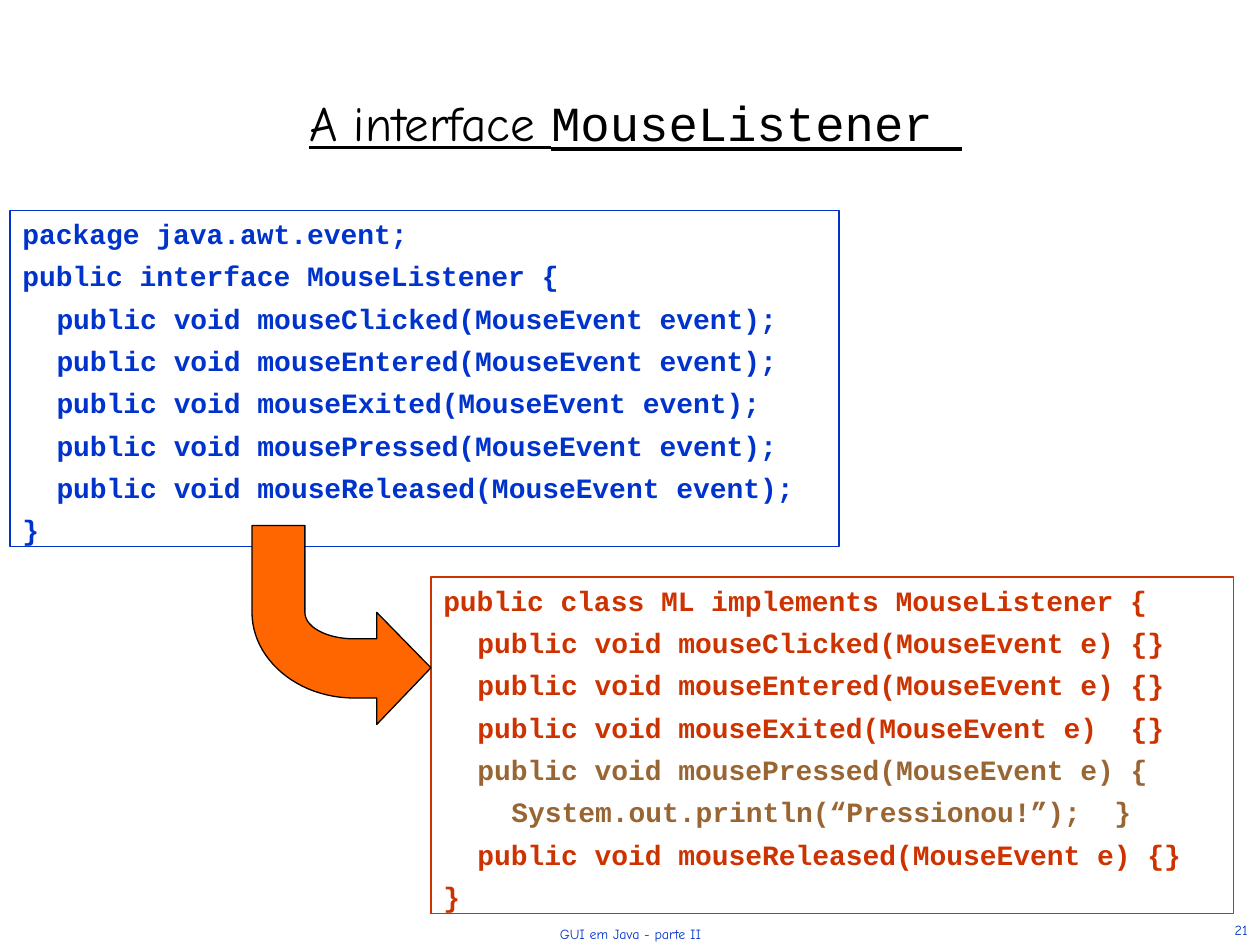
from dataclasses import dataclass

from lxml.etree import SubElement
from pptx import Presentation
from pptx.dml.color import RGBColor
from pptx.enum.shapes import MSO_SHAPE
from pptx.enum.text import MSO_ANCHOR, PP_ALIGN
from pptx.oxml.ns import qn
from pptx.util import Inches, Pt

COLORS = {
    "title": "000000",
    "interface": "0033CC",
    "class": "CC3300",
    "highlight": "996633",
    "arrow": "FF6600",
    "outline": "000000",
}
CODE_FONT = "Courier New"
TEXT_FONT = "Comic Neue"
INDENT_STEP = 0.27  # two characters of 16 pt code


@dataclass(frozen=True)
class Box:
    left: float
    top: float
    width: float
    height: float

    def lengths(self) -> list:
        return [Inches(v) for v in (self.left, self.top, self.width, self.height)]


@dataclass(frozen=True)
class CodeLine:
    text: str
    level: int = 0
    color: str = ""


@dataclass(frozen=True)
class CodePanel:
    box: Box
    color: str
    lines: list


@dataclass(frozen=True)
class Label:
    box: Box
    runs: list
    size: float
    color: str
    align: PP_ALIGN
    underline: bool = False


def rgb(name: str) -> RGBColor:
    return RGBColor.from_string(COLORS[name])


def add_run(paragraph, text: str, *, font: str, size: float, color: str,
            bold: bool = False, underline: bool = False) -> None:
    run = paragraph.add_run()
    run.text = text
    run.font.name = font
    run.font.size = Pt(size)
    run.font.bold = bold
    run.font.underline = underline
    run.font.color.rgb = rgb(color)


def add_label(slide, label: Label) -> None:
    frame = slide.shapes.add_textbox(*label.box.lengths()).text_frame
    frame.word_wrap = True
    frame.vertical_anchor = MSO_ANCHOR.BOTTOM
    paragraph = frame.paragraphs[0]
    paragraph.alignment = label.align
    for text, font in label.runs:
        add_run(paragraph, text, font=font, size=label.size,
                color=label.color, underline=label.underline)


def add_code_panel(slide, panel: CodePanel) -> None:
    frame_shape = slide.shapes.add_shape(MSO_SHAPE.RECTANGLE, *panel.box.lengths())
    frame_shape.shadow.inherit = False
    frame_shape.fill.background()
    frame_shape.line.color.rgb = rgb(panel.color)
    frame_shape.line.width = Pt(0.75)
    frame = frame_shape.text_frame
    frame.word_wrap = True
    frame.vertical_anchor = MSO_ANCHOR.TOP
    for index, line in enumerate(panel.lines):
        paragraph = frame.add_paragraph() if index else frame.paragraphs[0]
        paragraph.alignment = PP_ALIGN.JUSTIFY
        paragraph.space_before = Pt(5)
        properties = paragraph._p.get_or_add_pPr()
        properties.set("marL", str(Inches(INDENT_STEP * line.level)))
        properties.set("indent", "0")
        SubElement(properties, qn("a:buNone"))
        add_run(paragraph, line.text, font=CODE_FONT, size=16,
                color=line.color or panel.color, bold=True)


def curve(start: tuple, control1: tuple, control2: tuple, end: tuple,
          steps: int = 24) -> list:
    """Points after the start along a cubic Bezier curve."""
    points = []
    for step in range(1, steps + 1):
        t = step / steps
        weights = ((1 - t) ** 3, 3 * t * (1 - t) ** 2, 3 * t**2 * (1 - t), t**3)
        points.append(tuple(
            sum(w * v for w, v in zip(weights, values))
            for values in zip(start, control1, control2, end)))
    return points


def add_bent_arrow(slide) -> None:
    outer = curve((2, 4.86), (2, 5.23), (2.36, 5.54), (2.81, 5.54))
    head = [(2.99, 5.54), (2.99, 5.75), (3.42, 5.3), (2.99, 4.86), (2.99, 5.07)]
    inner = curve((2.81, 5.07), (2.6, 5.07), (2.42, 4.98), (2.42, 4.86))
    outline = [(2, 4.86), *outer, *head, (2.81, 5.07), *inner, (2.42, 4.17)]
    builder = slide.shapes.build_freeform(Inches(2), Inches(4.17))
    builder.add_line_segments([(Inches(x), Inches(y)) for x, y in outline], close=True)
    arrow = builder.convert_to_shape()
    arrow.shadow.inherit = False
    arrow.fill.solid()
    arrow.fill.fore_color.rgb = rgb("arrow")
    arrow.line.color.rgb = rgb("outline")
    arrow.line.width = Pt(0.75)


EVENTS = ["Clicked", "Entered", "Exited", "Pressed", "Released"]
EMPTY_METHODS = {
    event: CodeLine(f"public void mouse{event}(MouseEvent e){gap}{{}}", 1)
    for event, gap in [("Clicked", " "), ("Entered", " "), ("Exited", "  "),
                       ("Released", " ")]
}

INTERFACE_PANEL = CodePanel(Box(0.08, 1.67, 6.58, 2.67), "interface", [
    CodeLine("package java.awt.event;"),
    CodeLine("public interface MouseListener {"),
    *[CodeLine(f"public void mouse{event}(MouseEvent event);", 1) for event in EVENTS],
    CodeLine("}"),
])

CLASS_PANEL = CodePanel(Box(3.42, 4.58, 6.37, 2.67), "class", [
    CodeLine("public class ML implements MouseListener {"),
    EMPTY_METHODS["Clicked"],
    EMPTY_METHODS["Entered"],
    EMPTY_METHODS["Exited"],
    CodeLine("public void mousePressed(MouseEvent e) {", 1, "highlight"),
    CodeLine("System.out.println(“Pressionou!”);  }", 2, "highlight"),
    EMPTY_METHODS["Released"],
    CodeLine("}"),
])

TITLE = Label(Box(0.17, 0.35, 9.75, 0.9),
              [("A interface ", TEXT_FONT), ("MouseListener ", CODE_FONT)],
              28, "title", PP_ALIGN.CENTER, underline=True)
FOOTER = Label(Box(3.42, 7.03, 3.17, 0.5), [("GUI em Java - parte II", TEXT_FONT)],
               8, "interface", PP_ALIGN.CENTER)
PAGE_NUMBER = Label(Box(7.92, 7, 2.08, 0.5), [("21", TEXT_FONT)],
                    8, "interface", PP_ALIGN.RIGHT)


def main() -> None:
    presentation = Presentation()
    presentation.slide_width = Inches(10)
    presentation.slide_height = Inches(7.5)
    slide = presentation.slides.add_slide(presentation.slide_layouts[6])

    # Title
    add_label(slide, TITLE)

    # Interface, its implementation and the arrow between them
    for panel in (INTERFACE_PANEL, CLASS_PANEL):
        add_code_panel(slide, panel)
    add_bent_arrow(slide)

    # Footer and page number
    for label in (FOOTER, PAGE_NUMBER):
        add_label(slide, label)

    presentation.save("out.pptx")


if __name__ == "__main__":
    main()
